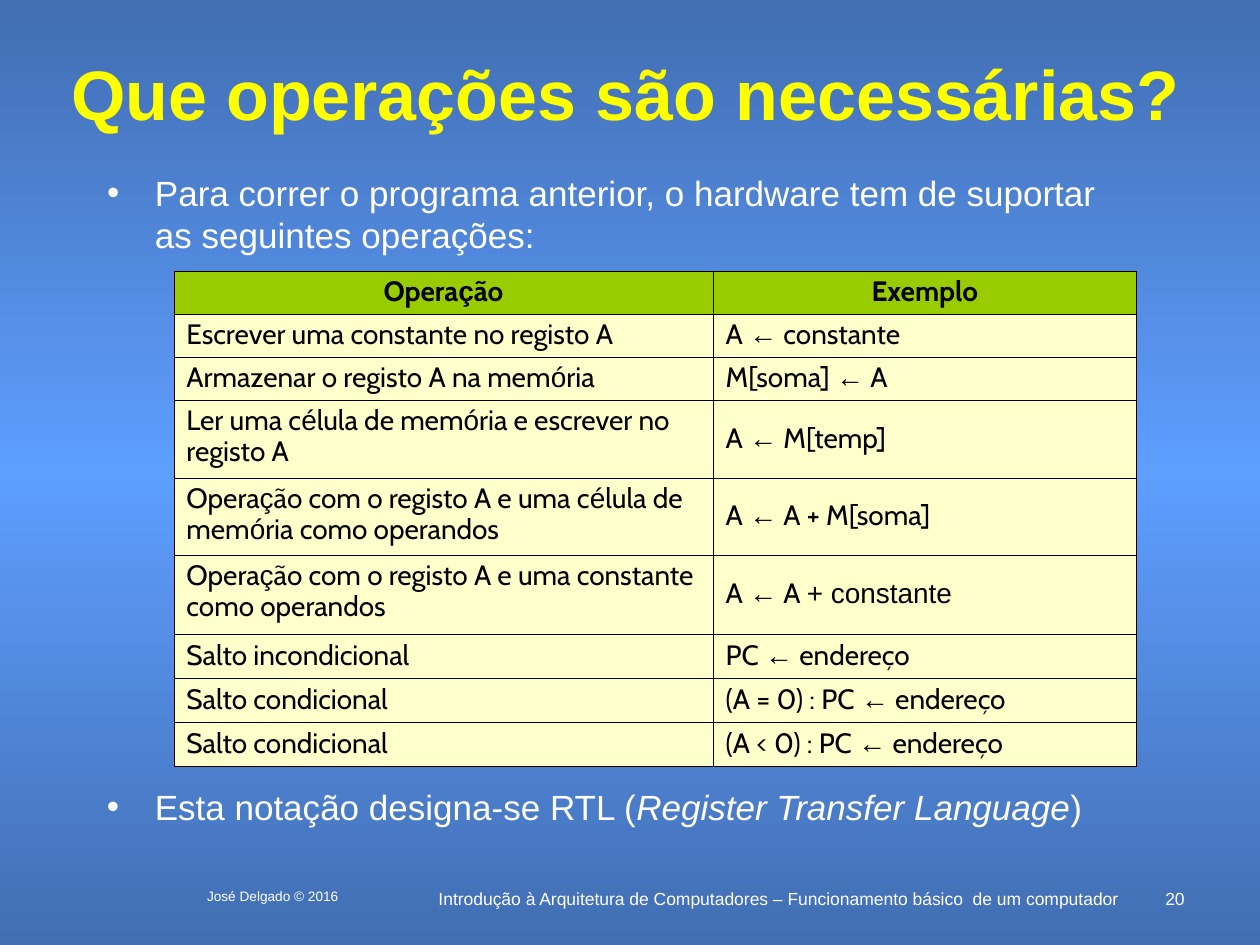
from lxml import etree
from pptx import Presentation
from pptx.dml.color import RGBColor
from pptx.enum.text import MSO_ANCHOR, MSO_AUTO_SIZE, PP_ALIGN
from pptx.oxml.ns import qn
from pptx.util import Inches, Pt

CENTER, LEFT, RIGHT = PP_ALIGN.CENTER, PP_ALIGN.LEFT, PP_ALIGN.RIGHT
TOP, MIDDLE = MSO_ANCHOR.TOP, MSO_ANCHOR.MIDDLE
NO_FIT = MSO_AUTO_SIZE.NONE
WHITE, YELLOW, BLACK = "FFFFFF", "FFFF00", "000000"
GREEN, CREAM = "99CC00", "FFFFCC"


def rgb(value):
    return RGBColor.from_string(value)


def add_run(paragraph, text, size, color, font="Arial", bold=False, italic=False):
    run = paragraph.add_run()
    run.text = text
    run.font.name = font
    run.font.size = Pt(size)
    run.font.bold = bold
    run.font.italic = italic
    run.font.color.rgb = rgb(color)


prs = Presentation()
prs.slide_width, prs.slide_height = Inches(10), Inches(7.5)
slide = prs.slides.add_slide(prs.slide_layouts[1])

backdrop = slide.background.fill
backdrop.gradient()
backdrop.gradient_angle = 90
stops = slide.element.find(".//" + qn("a:gsLst"))
for stop in list(stops):
    stops.remove(stop)
for percent, color in [(0, "426EB2"), (50, "5E9EFF"), (100, "426EB2")]:
    stop = etree.SubElement(stops, qn("a:gs"), pos=str(percent * 1000))
    etree.SubElement(stop, qn("a:srgbClr"), val=color)

title = slide.shapes.title
title.left, title.top = Inches(0.35), Inches(0.4)
title.width, title.height = Inches(9.22), Inches(0.67)
title.text_frame.auto_size = NO_FIT
title.text_frame.vertical_anchor = MIDDLE
heading = title.text_frame.paragraphs[0]
heading.alignment = CENTER
add_run(heading, "Que operações são necessárias?", 40, YELLOW, bold=True)

intro = slide.placeholders[1]
intro.left, intro.top = Inches(0.75), Inches(1.31)
intro.width, intro.height = Inches(8.26), Inches(0.84)
notation = slide.shapes.add_textbox(Inches(0.75), Inches(6.22), Inches(8.58), Inches(0.54))

bullets = [
    (intro, 1.0, [("Para correr o programa anterior, o hardware tem de suportar "
                   "as seguintes operações:", False)]),
    (notation, 0.9, [("Esta notação designa-se RTL (", False),
                     ("Register Transfer Language", True), (")", False)]),
]
for box, spacing, parts in bullets:
    box.text_frame.word_wrap = True
    box.text_frame.auto_size = NO_FIT
    point = box.text_frame.paragraphs[0]
    point.line_spacing = spacing
    point.space_before = Pt(0)
    props = point._p.get_or_add_pPr()
    props.set("marL", str(Inches(0.38)))
    props.set("indent", str(-Inches(0.38)))
    bullet_color = etree.SubElement(props, qn("a:buClr"))
    etree.SubElement(bullet_color, qn("a:srgbClr"), val=WHITE)
    etree.SubElement(props, qn("a:buFont"), typeface="Arial")
    etree.SubElement(props, qn("a:buChar"), char="•")
    for text, italic in parts:
        add_run(point, text, 20, WHITE, italic=italic)

# "|" switches between Cabin and Arial
operations = [
    (0.34, "Opera|ç|ão", "Exemplo"),
    (0.34, "Escrever uma constante no registo A", "A |←| constante"),
    (0.34, "Armazenar o registo A na mem|ó|ria", "M[soma] |←| A"),
    (0.62, "Ler uma c|é|lula de mem|ó|ria e escrever no registo A", "A |←| M[temp]"),
    (0.61, "Opera|ç|ão com o registo A e uma c|é|lula de mem|ó|ria como operandos",
     "A |←| A + M[soma]"),
    (0.63, "Opera|ç|ão com o registo A e uma constante como operandos",
     "A |←| A |+ constante"),
    (0.35, "Salto incondicional", "PC |←| endereço"),
    (0.35, "Salto condicional", "(A = 0) : PC |←| endereço"),
    (0.35, "Salto condicional", "(A < 0) : PC |←| endereço"),
]
table = slide.shapes.add_table(len(operations), 2, Inches(1.38), Inches(2.15),
                               Inches(7.64), Inches(3.93)).table
table.columns[0].width, table.columns[1].width = Inches(4.28), Inches(3.36)
for row, (height, *texts) in enumerate(operations):
    table.rows[row].height = Inches(height)
    header = row == 0
    for column, text in enumerate(texts):
        cell = table.cell(row, column)
        cell.vertical_anchor = MIDDLE if column else TOP
        cell_props = cell._tc.get_or_add_tcPr()
        for side in ("a:lnL", "a:lnR", "a:lnT", "a:lnB"):
            border = etree.SubElement(cell_props, qn(side), w=str(Pt(0.45)))
            border_fill = etree.SubElement(border, qn("a:solidFill"))
            etree.SubElement(border_fill, qn("a:srgbClr"), val=BLACK)
        cell.fill.solid()
        cell.fill.fore_color.rgb = rgb(GREEN if header else CREAM)
        entry = cell.text_frame.paragraphs[0]
        entry.alignment = CENTER if header else LEFT
        entry.line_spacing = 0.9
        for index, part in enumerate(text.split("|")):
            add_run(entry, part, 16, BLACK, "Arial" if index % 2 else "Cabin", bold=header)

footers = [
    (1.33, 1.67, 0.25, CENTER, 7.8, "José Delgado © 2016"),
    (3.38, 5.59, 0.25, CENTER, 10,
     "Introdução à Arquitetura de Computadores – Funcionamento básico  de um computador"),
    (9.08, 0.42, 0.17, RIGHT, 10, "20"),
]
for left, width, height, alignment, size, text in footers:
    footer = slide.shapes.add_textbox(Inches(left), Inches(7), Inches(width), Inches(height))
    footer.text_frame.word_wrap = True
    line = footer.text_frame.paragraphs[0]
    line.alignment = alignment
    add_run(line, text, size, WHITE)

prs.save("out.pptx")
